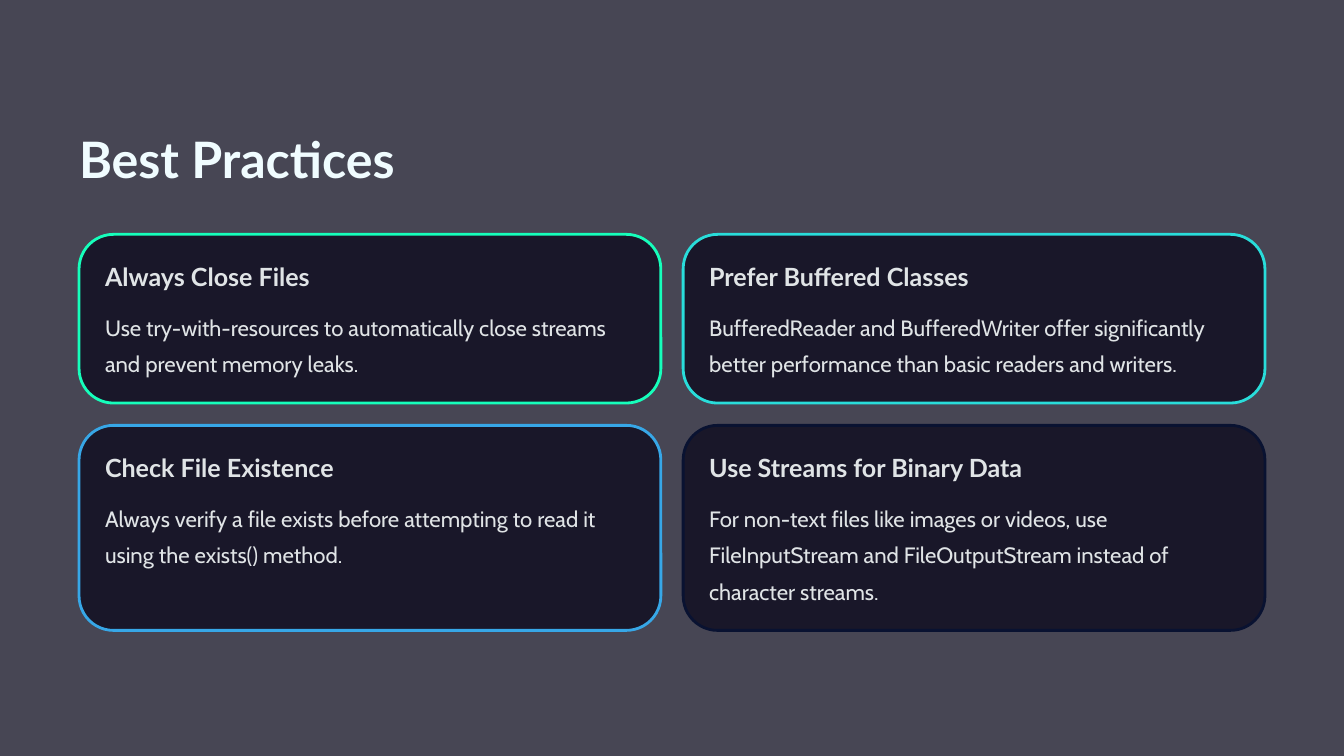
"""Build the Best Practices slide: a title above a two-by-two grid of cards."""
from dataclasses import dataclass
from typing import NamedTuple

from lxml.etree import SubElement
from pptx import Presentation
from pptx.dml.color import RGBColor
from pptx.enum.shapes import MSO_SHAPE
from pptx.oxml.ns import qn
from pptx.slide import Slide
from pptx.util import Inches, Pt


class TextStyle(NamedTuple):
    font: str
    size: float
    leading: float
    color: str
    bold: bool = False


@dataclass(frozen=True)
class Theme:
    backdrop: str = "474654"
    card: str = "0A081B"
    card_opacity: int = 75
    outline: float = 2.4
    title: TextStyle = TextStyle("Lato", 43, 54, "F0FCFF", True)
    heading: TextStyle = TextStyle("Lato", 21.5, 27, "E0E4E6", True)
    body: TextStyle = TextStyle("Cabin", 19, 31, "E0E4E6")


class Box(NamedTuple):
    """Left, top, width and height as percentages of the slide."""
    left: float
    top: float
    width: float
    height: float


@dataclass(frozen=True)
class Grid:
    """Card layout as percentages of the slide's width and height."""
    margin: float = 5.88
    top: float = 31
    gutter: float = 1.66
    row_gap: float = 2.95
    pad_x: float = 1.94
    pad_y: float = 3.39
    heading_height: float = 4.22
    body_offset: float = 9.33
    line_height: float = 4.8

    @property
    def column(self) -> float:
        return (100 - 2 * self.margin - self.gutter) / 2

    def row_height(self, lines: int) -> float:
        return self.body_offset + lines * self.line_height + self.pad_y


class Card(NamedTuple):
    heading: str
    body: str
    accent: str


class Row(NamedTuple):
    lines: int
    cards: tuple[Card, ...]


THEME = Theme()
GRID = Grid()
WIDTH, HEIGHT = Inches(16), Inches(9)
CORNER = Inches(0.41)
TITLE_BOX = Box(GRID.margin, 16.67, 37.5, 8.33)
ROWS = (
    Row(2, (
        Card("Always Close Files",
             "Use try-with-resources to automatically close streams and prevent memory leaks.",
             "16FFBB"),
        Card("Prefer Buffered Classes",
             "BufferedReader and BufferedWriter offer significantly better performance "
             "than basic readers and writers.",
             "29DDDA"),
    )),
    Row(3, (
        Card("Check File Existence",
             "Always verify a file exists before attempting to read it using the exists() method.",
             "37A7E7"),
        Card("Use Streams for Binary Data",
             "For non-text files like images or videos, use FileInputStream and "
             "FileOutputStream instead of character streams.",
             "091231"),
    )),
)


def to_emu(box: Box) -> tuple[int, int, int, int]:
    """Convert slide percentages to EMU."""
    return (round(box.left * WIDTH / 100), round(box.top * HEIGHT / 100),
            round(box.width * WIDTH / 100), round(box.height * HEIGHT / 100))


def add_text(s: Slide, box: Box, text: str, style: TextStyle, wrap: bool = False) -> None:
    """Add a text box without insets."""
    tf = s.shapes.add_textbox(*to_emu(box)).text_frame
    tf.margin_left = tf.margin_top = tf.margin_right = tf.margin_bottom = 0
    tf.word_wrap = wrap
    p = tf.paragraphs[0]
    p.line_spacing = Pt(style.leading)
    r = p.add_run()
    r.text = text
    r.font.name = style.font
    r.font.size = Pt(style.size)
    r.font.bold = style.bold
    r.font.color.rgb = RGBColor.from_string(style.color)


def add_panel(s: Slide, box: Box, accent: str) -> None:
    """Add a translucent rounded panel with an accent outline."""
    sp = s.shapes.add_shape(MSO_SHAPE.ROUNDED_RECTANGLE, *to_emu(box))
    sp.shadow.inherit = False
    sp.adjustments[0] = CORNER / sp.height
    sp.fill.solid()
    sp.fill.fore_color.rgb = RGBColor.from_string(THEME.card)
    color = sp.fill._xPr.find(qn("a:solidFill")).find(qn("a:srgbClr"))
    SubElement(color, qn("a:alpha"), val=str(THEME.card_opacity * 1000))
    sp.line.color.rgb = RGBColor.from_string(accent)
    sp.line.width = Pt(THEME.outline)


def add_card(s: Slide, box: Box, card: Card, lines: int) -> None:
    """Add a panel with its heading and body."""
    add_panel(s, box, card.accent)
    left, width = box.left + GRID.pad_x, box.width - 2 * GRID.pad_x
    add_text(s, Box(left, box.top + GRID.pad_y, width, GRID.heading_height),
             card.heading, THEME.heading)
    add_text(s, Box(left, box.top + GRID.body_offset, width, lines * GRID.line_height),
             card.body, THEME.body, wrap=True)


def main() -> None:
    """Build and save the presentation."""
    prs = Presentation()
    prs.slide_width, prs.slide_height = WIDTH, HEIGHT
    s = prs.slides.add_slide(prs.slide_layouts[6])
    s.background.fill.solid()
    s.background.fill.fore_color.rgb = RGBColor.from_string(THEME.backdrop)
    add_text(s, TITLE_BOX, "Best Practices", THEME.title)
    top = GRID.top
    for row in ROWS:
        height = GRID.row_height(row.lines)
        for i, card in enumerate(row.cards):
            left = GRID.margin + i * (GRID.column + GRID.gutter)
            add_card(s, Box(left, top, GRID.column, height), card, row.lines)
        top += height + GRID.row_gap
    prs.save("out.pptx")


if __name__ == "__main__":
    main()
